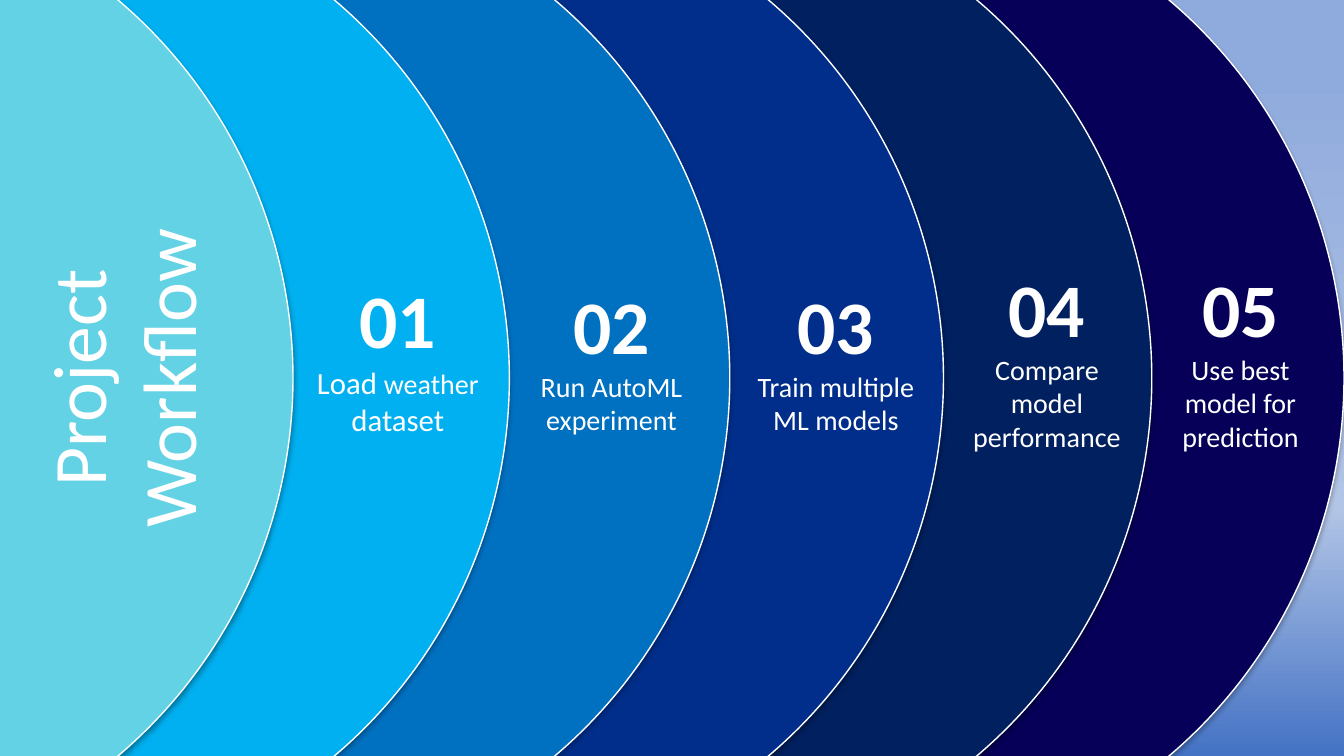
from copy import deepcopy
from dataclasses import dataclass

from lxml import etree
from pptx import Presentation
from pptx.dml.color import RGBColor
from pptx.enum.shapes import MSO_SHAPE
from pptx.enum.text import MSO_AUTO_SIZE, PP_ALIGN
from pptx.oxml.ns import qn
from pptx.util import Inches, Pt

ELLIPSE = MSO_SHAPE.OVAL
CENTER = PP_ALIGN.CENTER
GROW = MSO_AUTO_SIZE.SHAPE_TO_FIT_TEXT
BLANK_LAYOUT = 6


@dataclass(frozen=True)
class Theme:
    font: str = "Calibri"
    white: str = "FFFFFF"
    shadow: str = "000000"
    background: tuple = ((0.09, "8FAADC"), (0.67, "B2C5E6"), (1, "4472C4"))
    discs: tuple = ("62D2E4", "00B0F0", "0070C0", "002E8A", "002060", "060058")
    heading: int = 54
    large: int = 22
    body: int = 20


THEME = Theme()

# Right edge of each disc, in grid columns, from left to right
DISC_EDGES = (21.8, 37.9, 54.3, 70.2, 85.7, 100)
DISC_WIDTH = 73.8
STEP_MIDDLE = 47.4

# Centre column, columns wide, rows high, runs of the caption
STEPS = (
    (29.6, 18.15, 24, (("Load ", THEME.large), ("weather", THEME.body), (" dataset", THEME.large))),
    (45.5, 13.4, 22.4, (("Run AutoML experiment", THEME.body),)),
    (62.2, 13.3, 22.4, (("Train multiple ML models", THEME.body),)),
    (77.9, 14.85, 26.9, (("Compare model performance", THEME.body),)),
    (92.3, 11.85, 26.9, (("Use best model for prediction", THEME.body),)),
)


def set_attributes(target, values):
    for name, value in values.items():
        setattr(target, name, value)


class SlideBuilder:
    """Places elements on a grid of 100 columns by 100 rows."""

    def __init__(self, presentation, theme):
        self.theme = theme
        self.slide = presentation.slides.add_slide(presentation.slide_layouts[BLANK_LAYOUT])
        self.column = presentation.slide_width / 100
        self.row = presentation.slide_height / 100

    def box(self, center, middle, columns, rows):
        return (
            round((center - columns / 2) * self.column),
            round((middle - rows / 2) * self.row),
            round(columns * self.column),
            round(rows * self.row),
        )

    def background(self):
        fill = self.slide.background.fill
        fill.gradient()
        fill.gradient_angle = 270
        stop_list = self.slide.element.find(".//" + qn("a:gsLst"))
        stop_list.append(deepcopy(stop_list[-1]))
        for stop, (position, color) in zip(fill.gradient_stops, self.theme.background):
            stop.position = position
            stop.color.rgb = RGBColor.from_string(color)

    def disc(self, right_edge, color):
        rows = DISC_WIDTH * self.column / self.row
        shape = self.slide.shapes.add_shape(
            ELLIPSE, *self.box(right_edge - DISC_WIDTH / 2, 50, DISC_WIDTH, rows)
        )
        shape.fill.solid()
        shape.fill.fore_color.rgb = RGBColor.from_string(color)
        shape.line.color.rgb = RGBColor.from_string(self.theme.white)
        shape.line.width = Pt(1)
        self.soft_shadow(shape)

    def soft_shadow(self, shape):
        shape.shadow.inherit = False
        effects = shape.element.spPr.find(qn("a:effectLst"))
        shadow = etree.SubElement(
            effects, qn("a:outerShdw"),
            blurRad=str(Pt(3.5)), dist=str(Pt(2.2)), dir="5400000", rotWithShape="0",
        )
        color = etree.SubElement(shadow, qn("a:srgbClr"), val=self.theme.shadow)
        etree.SubElement(color, qn("a:alpha"), val="32000")

    def text(self, box, paragraphs, rotation=0):
        shape = self.slide.shapes.add_textbox(*box)
        shape.rotation = rotation
        frame = shape.text_frame
        set_attributes(frame, {"word_wrap": True, "auto_size": GROW})
        for index, runs in enumerate(paragraphs):
            paragraph = frame.add_paragraph() if index else frame.paragraphs[0]
            paragraph.alignment = CENTER
            for words, size, bold in runs:
                run = paragraph.add_run()
                run.text = words
                set_attributes(run.font, {"name": self.theme.font, "size": Pt(size), "bold": bold})
                run.font.color.rgb = RGBColor.from_string(self.theme.white)

    def step(self, number, center, columns, rows, caption):
        heading = [(f"{number:02}", self.theme.heading, True)]
        body = [(words, size, False) for words, size in caption]
        self.text(self.box(center, STEP_MIDDLE, columns, rows), (heading, body))


def main():
    presentation = Presentation()
    set_attributes(presentation, {"slide_width": Inches(13.33), "slide_height": Inches(7.5)})
    builder = SlideBuilder(presentation, THEME)
    builder.background()

    # Overlapping discs, the rightmost one at the back
    for right_edge, color in reversed(list(zip(DISC_EDGES, THEME.discs))):
        builder.disc(right_edge, color)

    # Title, reading upwards
    title = [("Project Workflow", THEME.heading, False)]
    builder.text(builder.box(9.1, 50, 33.45, 25.6), (title,), rotation=270)

    # Numbered steps
    for number, step in enumerate(STEPS, start=1):
        builder.step(number, *step)

    presentation.save("out.pptx")


if __name__ == "__main__":
    main()
